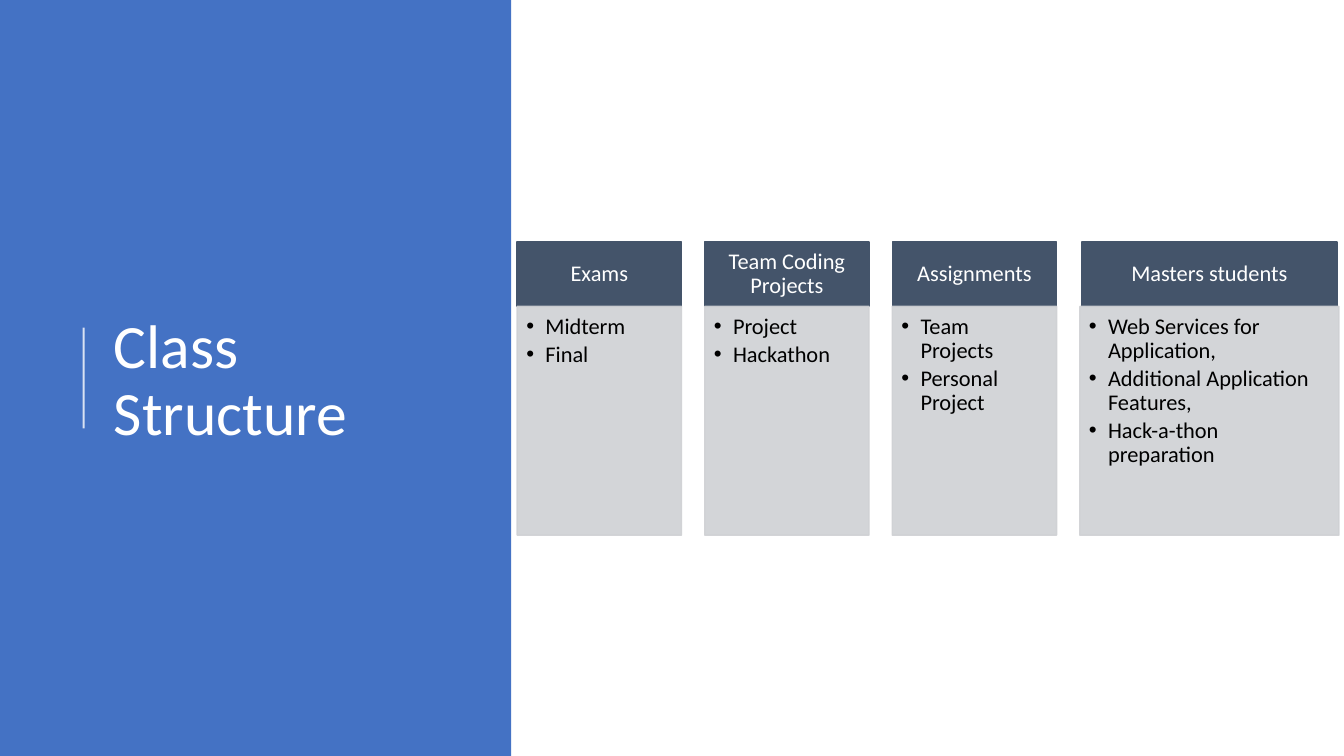
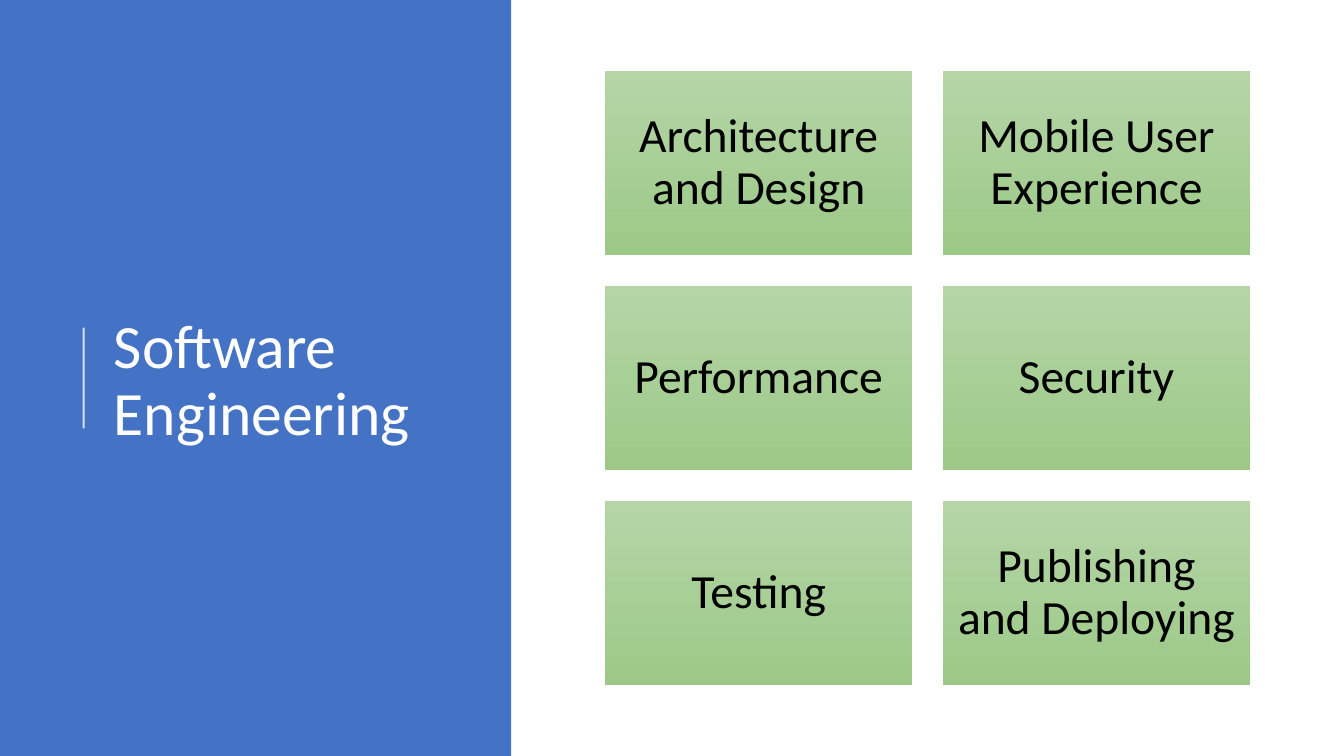
import pptx
import pptx.util
import pptx.dml.color
import pptx.enum.shapes
import pptx.enum.text
import pptx.oxml.ns
import lxml.etree

Inches = pptx.util.Inches
Pt = pptx.util.Pt
ALIGN = pptx.enum.text.PP_ALIGN
ANCHOR = pptx.enum.text.MSO_ANCHOR
COLORS = {
    "band": "4472C4", "white": "FFFFFF", "black": "000000",
    "head": "44546A", "body": "CFD1D4", "top": "B5D5A7", "base": "9CC987",
}
FONT = "Calibri"
WIDTH, HEIGHT = 13.33, 7.5


def color(name):
    """Return the named palette colour."""
    return pptx.dml.color.RGBColor.from_string(COLORS[name])


def child(parent, tag, **attrs):
    """Append a DrawingML element to its parent."""
    return lxml.etree.SubElement(parent, pptx.oxml.ns.qn(tag), **attrs)


def fade(shape, percent):
    """Set the opacity of the fill and line of a shape."""
    for tint in list(shape._element.spPr.iter(pptx.oxml.ns.qn("a:srgbClr"))):
        child(tint, "a:alpha", val=str(percent * 1000))


def write(shape, lines, size=16, ink="black", align=ALIGN.LEFT,
          anchor=ANCHOR.MIDDLE, inset=(0.1, 0.05, 0.1, 0.05), after=0,
          bullet=False):
    """Fill a shape with formatted paragraphs."""
    frame = shape.text_frame
    frame.word_wrap = True
    frame.vertical_anchor = anchor
    (frame.margin_left, frame.margin_top,
     frame.margin_right, frame.margin_bottom) = map(Inches, inset)
    for index, line in enumerate(lines):
        para = frame.add_paragraph() if index else frame.paragraphs[0]
        para.alignment = align
        para.line_spacing = 0.9
        para.space_after = Pt(after)
        run = para.add_run()
        run.text = line
        run.font.name = FONT
        run.font.size = Pt(size)
        run.font.color.rgb = color(ink)
        if bullet:
            props = para._p.get_or_add_pPr()
            props.set("marL", str(Inches(0.19)))
            props.set("indent", str(Inches(-0.19)))
            child(props, "a:buFont", typeface="Arial")
            child(props, "a:buChar", char="•")


def block(slide, box, fill, line=None):
    """Add a rectangle with a solid or two-colour gradient fill."""
    shape = slide.shapes.add_shape(
        pptx.enum.shapes.MSO_SHAPE.RECTANGLE, *map(Inches, box))
    shape.shadow.inherit = False
    if isinstance(fill, tuple):
        shape.fill.gradient()
        shape.fill.gradient_angle = 270
        for stop, name, place in zip(shape.fill.gradient_stops, fill, (0, 1)):
            stop.color.rgb = color(name)
            stop.position = place
    else:
        shape.fill.solid()
        shape.fill.fore_color.rgb = color(fill)
    if line:
        shape.line.color.rgb = color(line)
        shape.line.width = Pt(1)
    else:
        shape.line.fill.background()
    return shape


def panel(slide, box, title):
    """Draw the title band with its upright rule."""
    left, top, width, height = box
    block(slide, box, "band")
    across, middle = left + 0.83, top + height / 2
    rule = slide.shapes.add_connector(
        pptx.enum.shapes.MSO_CONNECTOR.STRAIGHT,
        Inches(across), Inches(middle + 0.5),
        Inches(across), Inches(middle - 0.5))
    rule.line.color.rgb = color("white")
    rule.line.width = Pt(1.5)
    fade(rule, 80)
    child(rule._element.spPr, "a:effectLst")
    area = (left + 1.03, top + 0.78, width - 1.38, 6.02)
    text = slide.shapes.add_textbox(*map(Inches, area))
    write(text, [title], size=44, ink="white")


def column(slide, box, title, items, trim=0):
    """Draw a headed list, with the heading trimmed at each side."""
    left, top, width, height = box
    cap = 0.64
    head = block(slide, (left + trim, top, width - 2 * trim, cap),
                 "head", line="head")
    write(head, [title], ink="white", align=ALIGN.CENTER,
          inset=(0.12, 0.07, 0.12, 0.07))
    body = block(slide, (left, top + cap, width, height - cap),
                 "body", line="body")
    fade(body, 90)
    write(body, items, anchor=ANCHOR.TOP, after=2.4, bullet=True,
          inset=(0.09, 0.09, 0.12, 0.14))


def columns(slide, box, groups):
    """Draw evenly stepped lists, the last one filling the width."""
    left, top, width, height = box
    step, gap = 1.86, 0.23
    last = len(groups) - 1
    for index, (title, items) in enumerate(groups):
        start = index * step
        wide = width - start if index == last else step - gap
        column(slide, (left + start, top, wide, height), title, items,
               trim=0.02 if index == last else 0)


def tiles(slide, box, labels, cols=2, gap=0.3):
    """Draw a grid of gradient tiles with equal gaps."""
    left, top, width, height = box
    rows = -(-len(labels) // cols)
    wide = (width - gap * (cols - 1)) / cols
    tall = (height - gap * (rows - 1)) / rows
    for index, label in enumerate(labels):
        row, col = divmod(index, cols)
        area = (left + col * (wide + gap), top + row * (tall + gap),
                wide, tall)
        tile = block(slide, area, ("top", "base"))
        write(tile, [label], size=34, align=ALIGN.CENTER, inset=(0.14,) * 4)


def page(deck, title, draw, box, parts):
    """Add a slide with the title band and its content."""
    slide = deck.slides.add_slide(deck.slide_layouts[6])
    panel(slide, (0, 0, 5.07, HEIGHT), title)
    draw(slide, box, parts)


def main():
    """Build and save the deck."""
    deck = pptx.Presentation()
    deck.slide_width = Inches(WIDTH)
    deck.slide_height = Inches(HEIGHT)
    page(deck, "Class Structure", columns, (5.13, 2.4, 8.15, 2.91), [
        ("Exams", ["Midterm", "Final"]),
        ("Team Coding Projects", ["Project", "Hackathon"]),
        ("Assignments", ["Team Projects", "Personal Project"]),
        ("Masters students", ["Web Services for Application,",
                              "Additional Application Features,",
                              "Hack-a-thon preparation"]),
    ])
    page(deck, "Software Engineering", tiles, (6, 0.7, 6.4, 6.1), [
        "Architecture and Design", "Mobile User Experience",
        "Performance", "Security", "Testing", "Publishing and Deploying",
    ])
    deck.save("out.pptx")


main()
